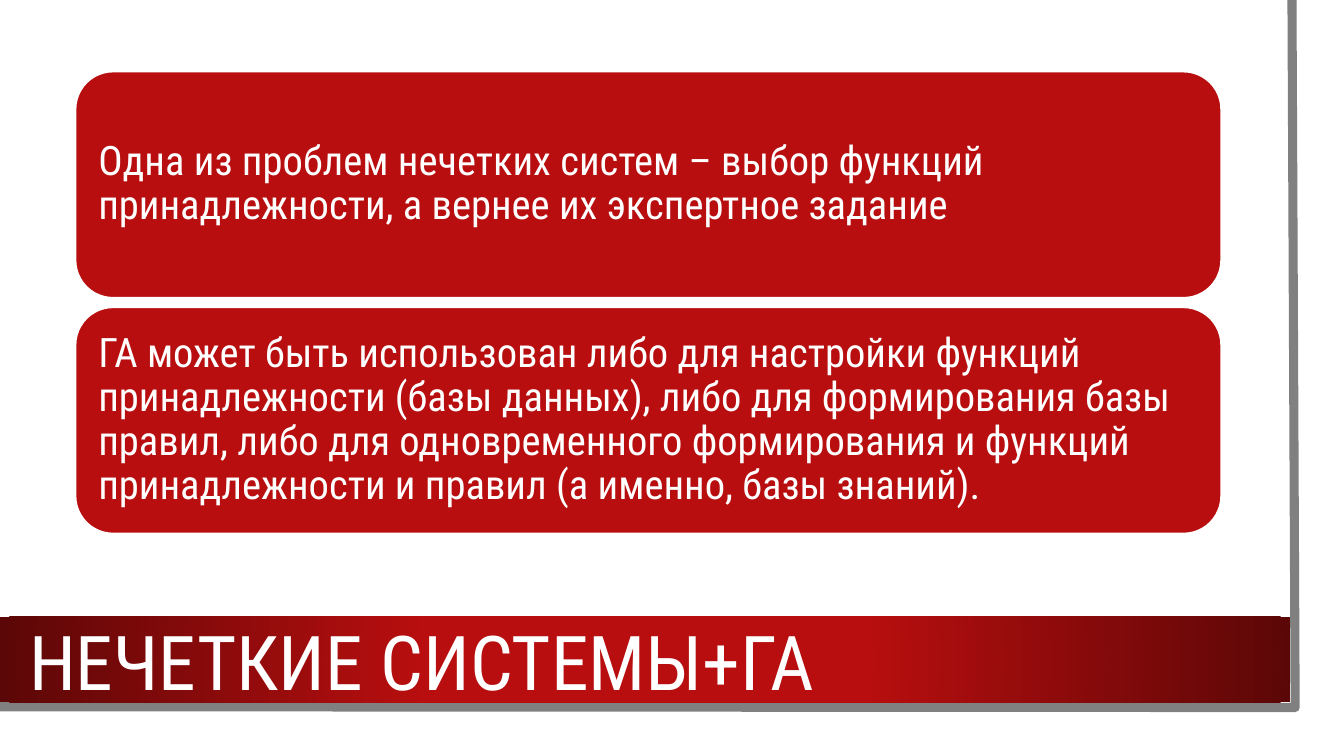
from lxml.etree import SubElement
from pptx import Presentation
from pptx.dml.color import RGBColor
from pptx.enum.shapes import MSO_SHAPE
from pptx.enum.text import MSO_ANCHOR, MSO_AUTO_SIZE, PP_ALIGN
from pptx.oxml import parse_xml
from pptx.oxml.ns import nsdecls, qn
from pptx.util import Cm, Pt

COLORS = {"white": "FFFFFF", "red": "B80E0F", "dark": "5C0707", "grey": "808080"}
FONT = "Roboto Condensed"
STATEMENTS = [
    "Одна из проблем нечетких систем – выбор функций принадлежности, "
    "а вернее их экспертное задание",
    "ГА может быть использован либо для настройки функций принадлежности "
    "(базы данных), либо для формирования базы правил, либо для одновременного "
    "формирования и функций принадлежности и правил (а именно, базы знаний).",
]


def rgb(name):
    return RGBColor.from_string(COLORS[name])


def write(tf, text, size):
    tf.word_wrap = True
    tf.auto_size = MSO_AUTO_SIZE.NONE
    tf.vertical_anchor = MSO_ANCHOR.MIDDLE
    p = tf.paragraphs[0]
    p.alignment = PP_ALIGN.LEFT
    p.line_spacing = 0.9
    p.space_before = Pt(0)
    r = p.add_run()
    r.text = text
    r.font.size = Pt(size)
    r.font.name = FONT
    r.font.color.rgb = rgb("white")


prs = Presentation()
prs.slide_width, prs.slide_height = Cm(33.87), Cm(19.05)
s = prs.slides.add_slide(prs.slide_layouts[5])

# White sheet
sheet = s.shapes.add_shape(MSO_SHAPE.RECTANGLE, 0, 0, Cm(33.27), Cm(18.47))
sheet.shadow.inherit = False
sheet.fill.solid()
sheet.fill.fore_color.rgb = rgb("white")
sheet.line.fill.background()

# Grey edge along the right and bottom of the sheet
builder = s.shapes.build_freeform(Cm(32.56), 0)
builder.add_line_segments([(Cm(32.64), Cm(17.83)), (Cm(-0.08), Cm(17.81))], close=False)
edge = builder.convert_to_shape()
edge.shadow.inherit = False
edge.fill.background()
edge.line.color.rgb = rgb("grey")
edge.line.width = Pt(6.5)

# Red title band with a radial gradient
band = s.shapes.add_shape(MSO_SHAPE.RECTANGLE, 0, Cm(15.54), Cm(32.51), Cm(2.16))
band.shadow.inherit = False
band.line.fill.background()
grad = parse_xml(f'<a:gradFill {nsdecls("a")} rotWithShape="1"/>')
stops = SubElement(grad, qn("a:gsLst"))
for pos, name in [(34, "red"), (100, "dark")]:
    stop = SubElement(stops, qn("a:gs"), pos=str(pos * 1000))
    SubElement(stop, qn("a:srgbClr"), val=COLORS[name])
path = SubElement(grad, qn("a:path"), path="circle")
SubElement(path, qn("a:fillToRect"), l="50000", t="50000", r="50000", b="50000")
band.element.spPr.find(qn("a:prstGeom")).addnext(grad)

# Title, brought in front of the band
title = s.shapes.title
title.left, title.top, title.width, title.height = Cm(0.48), Cm(15.19), Cm(28.88), Cm(3.2)
write(title.text_frame, "НЕЧЕТКИЕ СИСТЕМЫ+ГА", 54)
band.element.addnext(title.element)

# Statement boxes
for i, text in enumerate(STATEMENTS):
    sp = s.shapes.add_shape(MSO_SHAPE.ROUNDED_RECTANGLE,
                            Cm(1.9), Cm(1.8 + 5.94 * i), Cm(28.88), Cm(5.71))
    sp.shadow.inherit = False
    sp.fill.solid()
    sp.fill.fore_color.rgb = rgb("red")
    sp.line.color.rgb = rgb("white")
    sp.line.width = Pt(1.5)
    tf = sp.text_frame
    tf.margin_left = tf.margin_right = tf.margin_top = tf.margin_bottom = Cm(0.3)
    write(tf, text, 29)

prs.save("out.pptx")
